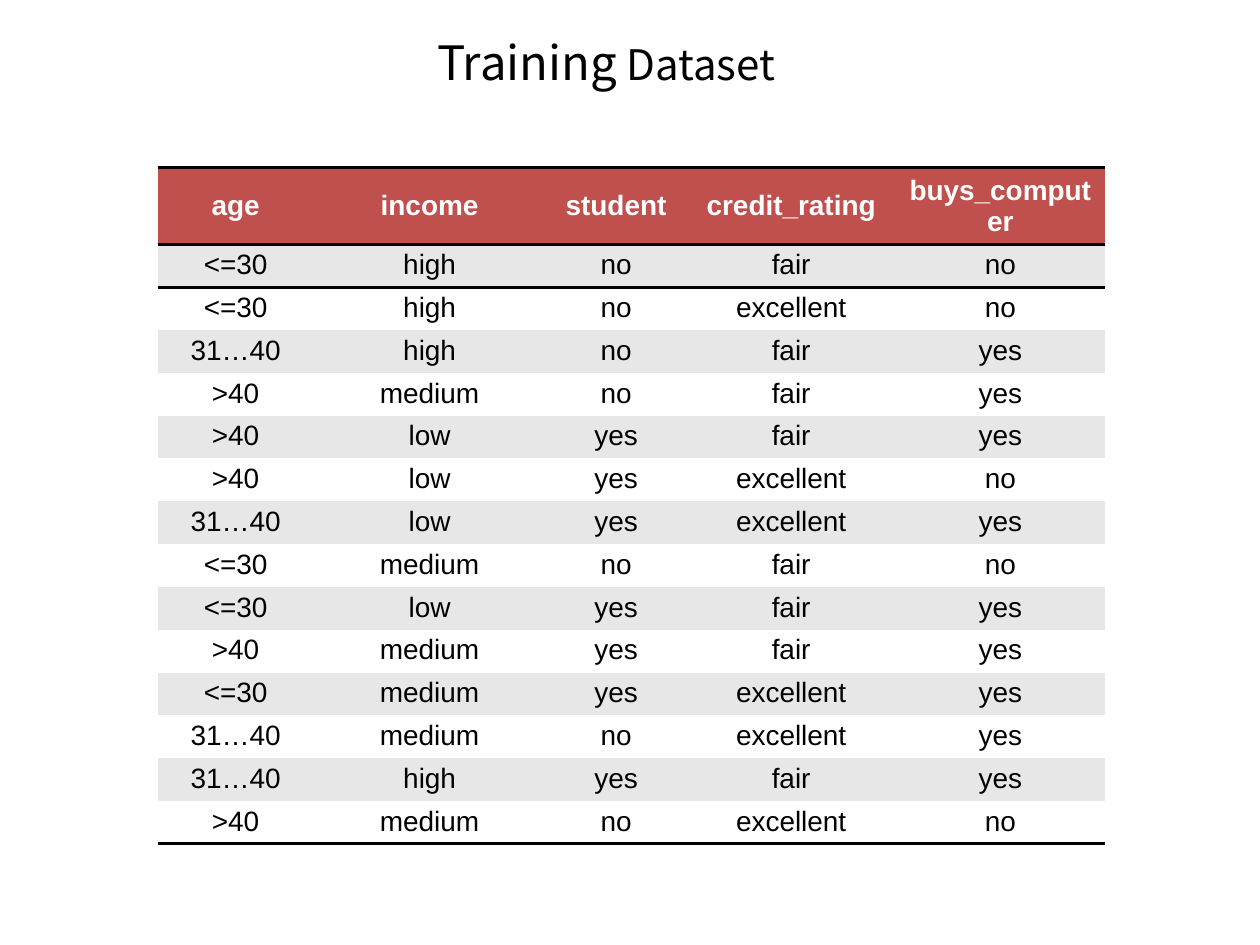
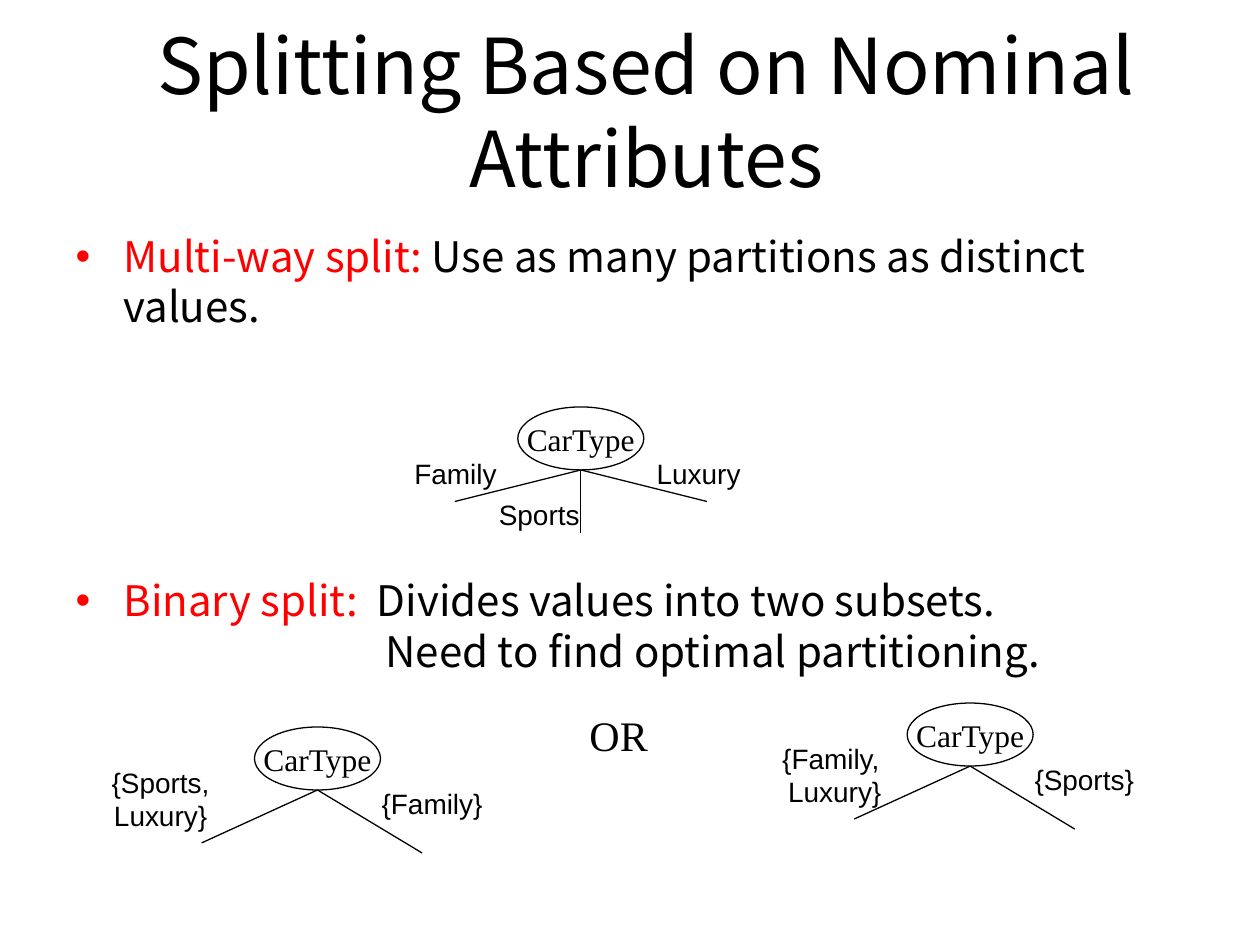
from pptx import Presentation
from pptx.dml.color import RGBColor
from pptx.enum.shapes import MSO_CONNECTOR, MSO_SHAPE
from pptx.enum.text import MSO_ANCHOR, MSO_AUTO_SIZE, PP_ALIGN
from pptx.oxml.ns import qn
from pptx.util import Inches, Pt
from lxml import etree

BLACK = RGBColor(0x00, 0x00, 0x00)
WHITE = RGBColor(0xFF, 0xFF, 0xFF)
RED = RGBColor(0xFF, 0x00, 0x00)
HEADER_RED = RGBColor(0xC0, 0x50, 0x4D)
BAND_GRAY = RGBColor(0xE7, 0xE7, 0xE7)
CENTER, LEFT = PP_ALIGN.CENTER, PP_ALIGN.LEFT
MIDDLE, TOP = MSO_ANCHOR.MIDDLE, MSO_ANCHOR.TOP
NO_AUTOFIT = MSO_AUTO_SIZE.NONE
STRAIGHT, ELLIPSE = MSO_CONNECTOR.STRAIGHT, MSO_SHAPE.OVAL
SANS, LABEL_FONT, NODE_FONT = "Noto Sans CJK KR", "Arial", "Times New Roman"
PLAIN_TABLE_STYLE = "{2D5ABB26-0587-4C30-8999-92F81FD0307C}"
TITLE_ONLY, TITLE_AND_BODY = 5, 1

# Slide 1 content
DATASET_TITLE = [("Training", 27), (" Dataset", 24)]
DATASET_HEADER = ["age", "income", "student", "credit_rating", "buys_computer"]
DATASET = [
    ("<=30", "high", "no", "fair", "no"),
    ("<=30", "high", "no", "excellent", "no"),
    ("31…40", "high", "no", "fair", "yes"),
    (">40", "medium", "no", "fair", "yes"),
    (">40", "low", "yes", "fair", "yes"),
    (">40", "low", "yes", "excellent", "no"),
    ("31…40", "low", "yes", "excellent", "yes"),
    ("<=30", "medium", "no", "fair", "no"),
    ("<=30", "low", "yes", "fair", "yes"),
    (">40", "medium", "yes", "fair", "yes"),
    ("<=30", "medium", "yes", "excellent", "yes"),
    ("31…40", "medium", "no", "excellent", "yes"),
    ("31…40", "high", "yes", "fair", "yes"),
    (">40", "medium", "no", "excellent", "no"),
]
COLUMN_WIDTHS = [1.24, 1.84, 1.12, 1.66, 1.66]
HEADER_HEIGHT, ROW_HEIGHT = 0.61, 0.34

# Slide 2 content
SPLIT_TITLE = [("Splitting Based on Nominal Attributes", 44)]
# Runs, left margin (inches), bulleted, space before (points)
SPLIT_POINTS = [
    ([("Multi-way split:", RED),
      (" Use as many partitions as distinct values.", BLACK)], 0.38, True, 0),
    ([("Binary split:", RED),
      ("  Divides values into two subsets.", BLACK)], 0.38, True, 139),
    ([("Need to find optimal partitioning.", BLACK)], 2.46, False, 0),
]
ROOT, ROOT_WIDTH, ROOT_HEIGHT = "CarType", 1, 0.5
MULTIWAY_BRANCHES = [(-1, 0.25), (0, 0.5), (1, 0.25)]
BINARY_BRANCHES = [(-0.92, 0.42), (0.83, 0.5)]
# Root corner, branch ends from the root's foot, labels: text and box from the corner
TREES = [
    ((4.11, 3.23), MULTIWAY_BRANCHES, [
        ("Family", -0.92, 0.34, 0.85, 0.37),
        ("Sports", -0.25, 0.67, 0.84, 0.37),
        ("Luxury", 1, 0.34, 0.87, 0.37)]),
    ((7.2, 5.58), BINARY_BRANCHES, [
        ("{Family, \vLuxury}", -1.1, 0.25, 1.05, 0.64),
        ("{Sports}", 0.91, 0.42, 0.99, 0.37)]),
    ((2.02, 5.77), BINARY_BRANCHES, [
        ("{Sports,\vLuxury}", -1.26, 0.25, 1.03, 0.64),
        ("{Family}", 0.91, 0.42, 1, 0.37)]),
]
OR_BOX = (4.58, 5.58, 0.66, 0.5)


def set_all(target, formats):
    for attribute, value in formats.items():
        setattr(target, attribute, value)


def style_font(font, name, size, color, bold=False):
    set_all(font, {"name": name, "size": Pt(size), "bold": bold})
    font.color.rgb = color


def place(shape, left, top, width, height):
    set_all(shape, {"left": Inches(left), "top": Inches(top),
                    "width": Inches(width), "height": Inches(height)})


def add_titled_slide(prs, layout, title_runs, box):
    slide = prs.slides.add_slide(prs.slide_layouts[layout])
    title = slide.shapes.title
    place(title, *box)
    set_all(title.text_frame, {"vertical_anchor": MIDDLE, "word_wrap": True,
                               "auto_size": NO_AUTOFIT})
    paragraph = title.text_frame.paragraphs[0]
    paragraph.alignment = CENTER
    for text, size in title_runs:
        run = paragraph.add_run()
        run.text = text
        style_font(run.font, SANS, size, BLACK)
    return slide


def write_centered(shape, text, font_name, size):
    frame = shape.text_frame
    set_all(frame, {"text": text, "word_wrap": False, "vertical_anchor": MIDDLE})
    paragraph = frame.paragraphs[0]
    paragraph.alignment = CENTER
    style_font(paragraph.font, font_name, size, BLACK)
    for run in paragraph.runs:
        style_font(run.font, font_name, size, BLACK)


def add_label(shapes, text, box, font_name=LABEL_FONT, size=16):
    label = shapes.add_textbox(*map(Inches, box))
    write_centered(label, text, font_name, size)


def add_border(cell, side):
    line = etree.SubElement(cell._tc.get_or_add_tcPr(), qn(f"a:{side}"), w=str(Pt(2)))
    fill = etree.SubElement(line, qn("a:solidFill"))
    etree.SubElement(fill, qn("a:srgbClr"), val=str(BLACK))


def add_dataset_table(slide):
    records = [DATASET_HEADER, *DATASET]
    height = HEADER_HEIGHT + ROW_HEIGHT * len(DATASET)
    table = slide.shapes.add_table(len(records), len(DATASET_HEADER), Inches(1.25),
                                   Inches(1.33), Inches(7.5), Inches(height)).table
    table._tbl.tblPr.find(qn("a:tableStyleId")).text = PLAIN_TABLE_STYLE
    for column, width in zip(table.columns, COLUMN_WIDTHS):
        column.width = Inches(width)
    borders = {0: ["lnT", "lnB"], 1: ["lnT"], len(DATASET): ["lnB"]}
    for r, record in enumerate(records):
        header = r == 0
        table.rows[r].height = Inches(HEADER_HEIGHT if header else ROW_HEIGHT)
        fill = HEADER_RED if header else BAND_GRAY if r % 2 else WHITE
        for c, value in enumerate(record):
            cell = table.cell(r, c)
            set_all(cell, {"text": value, "vertical_anchor": MIDDLE if header else TOP,
                           "margin_left": Inches(0.07), "margin_right": Inches(0.07),
                           "margin_top": Inches(0.04), "margin_bottom": Inches(0.04)})
            for side in borders.get(r, []):
                add_border(cell, side)
            cell.fill.solid()
            cell.fill.fore_color.rgb = fill
            paragraph = cell.text_frame.paragraphs[0]
            paragraph.alignment = CENTER
            style_font(paragraph.runs[0].font, LABEL_FONT, 16,
                       WHITE if header else BLACK, header)


def write_split_points(body):
    place(body, 0.5, 1.78, 9.17, 3.83)
    frame = body.text_frame
    set_all(frame, {"auto_size": NO_AUTOFIT, "word_wrap": True})
    for i, (runs, margin, bulleted, space) in enumerate(SPLIT_POINTS):
        paragraph = frame.add_paragraph() if i else frame.paragraphs[0]
        set_all(paragraph, {"alignment": LEFT, "space_before": Pt(space)})
        props = paragraph._p.get_or_add_pPr()
        props.set("marL", str(Inches(margin)))
        props.set("indent", str(Inches(-margin) if bulleted else 0))
        if bulleted:
            color = etree.SubElement(props, qn("a:buClr"))
            etree.SubElement(color, qn("a:srgbClr"), val=str(RED))
            etree.SubElement(props, qn("a:buChar"), char="•")
        else:
            etree.SubElement(props, qn("a:buNone"))
        for text, color in runs:
            run = paragraph.add_run()
            run.text = text
            style_font(run.font, SANS, 24, color)


def add_tree(slide, corner, branches, labels):
    left, top = corner
    shapes = slide.shapes.add_group_shape().shapes
    root = shapes.add_shape(ELLIPSE, *map(Inches, (left, top, ROOT_WIDTH, ROOT_HEIGHT)))
    root.shadow.inherit = False
    root.fill.solid()
    root.fill.fore_color.rgb = WHITE
    root.line.color.rgb = BLACK
    root.line.width = Pt(0.75)
    write_centered(root, ROOT, NODE_FONT, 18)

    foot_x, foot_y = left + ROOT_WIDTH / 2, top + ROOT_HEIGHT
    for dx, dy in branches:
        branch = shapes.add_connector(
            STRAIGHT, *map(Inches, (foot_x, foot_y, foot_x + dx, foot_y + dy)))
        branch.line.color.rgb = BLACK
        branch.line.width = Pt(0.75)
        etree.SubElement(branch._element.spPr, qn("a:effectLst"))
    for text, dx, dy, width, height in labels:
        add_label(shapes, text, (left + dx, top + dy, width, height))


def main():
    prs = Presentation()
    prs.slide_width, prs.slide_height = Inches(10), Inches(7.5)

    # Training dataset
    dataset_slide = add_titled_slide(prs, TITLE_ONLY, DATASET_TITLE,
                                     (0.75, 0.25, 8.12, 0.47))
    add_dataset_table(dataset_slide)

    # Splits on nominal attributes
    split_slide = add_titled_slide(prs, TITLE_AND_BODY, SPLIT_TITLE,
                                   (0.42, 0.17, 9.42, 1.41))
    write_split_points(split_slide.placeholders[1])
    for tree in TREES:
        add_tree(split_slide, *tree)
    add_label(split_slide.shapes, "OR", OR_BOX, NODE_FONT, 24)

    prs.save("out.pptx")


if __name__ == "__main__":
    main()
